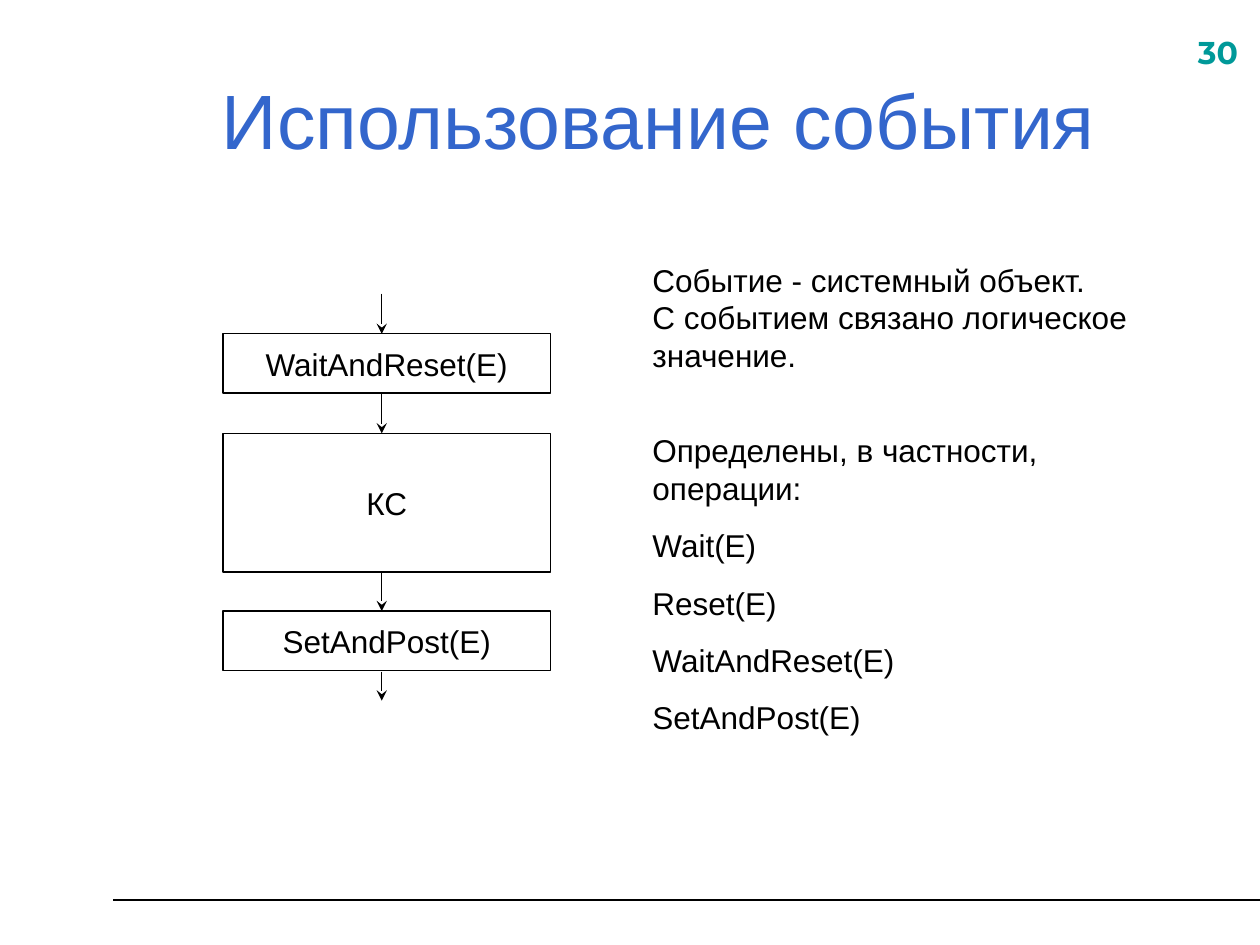
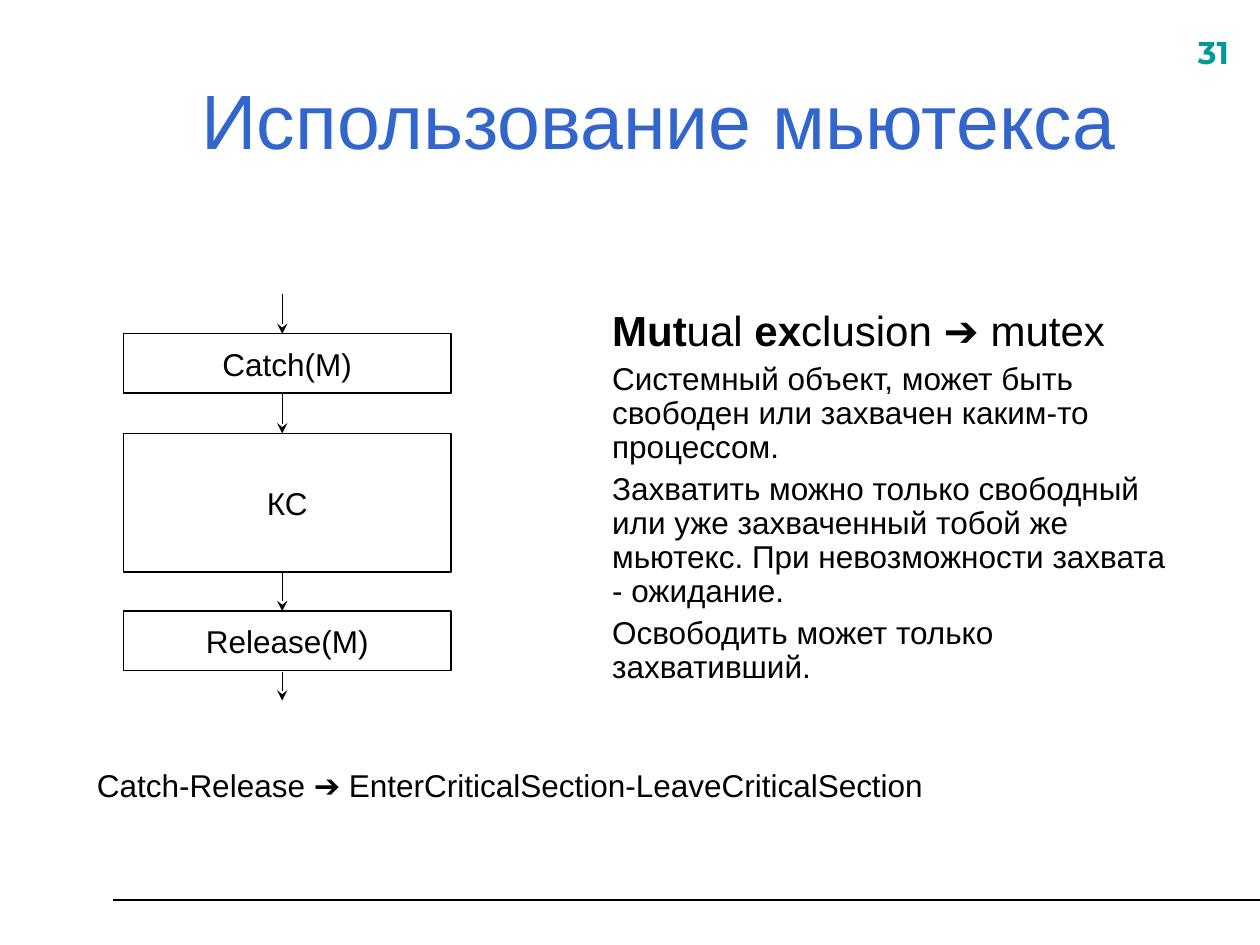
from lxml.etree import SubElement
from pptx import Presentation
from pptx.dml.color import RGBColor
from pptx.enum.shapes import MSO_CONNECTOR as Connector, MSO_SHAPE as Shape
from pptx.enum.text import MSO_ANCHOR as Anchor, PP_ALIGN as Align
from pptx.oxml.ns import qn
from pptx.util import Inches, Pt

BLACK = RGBColor(0x00, 0x00, 0x00)
TITLE_BLUE = RGBColor(0x33, 0x66, 0xCC)
NUMBER_TEAL = RGBColor(0x00, 0x99, 0x99)
FONT = "Arial"
NUMBER_FONT = "Montserrat"

FLOW_WIDTH = 2.6
ARROW_OFFSET = 1.26
STEP_ROWS = [(2.65, 0.47), (3.44, 1.1), (4.85, 0.47)]  # top, height
ARROW_ROWS = [(2.33, 2.65), (3.12, 3.44), (4.54, 4.85), (5.33, 5.56)]  # from, to


def add_text(page, area, paragraphs, size=18, color=BLACK, font=FONT,
             align=Align.LEFT, gap=11.2):
    """Add a wrapped text box; gap is the space before later paragraphs."""
    box = page.shapes.add_textbox(*map(Inches, area))
    frame = box.text_frame
    frame.word_wrap = True
    for index, text in enumerate(paragraphs):
        para = frame.add_paragraph() if index else frame.paragraphs[0]
        para.text = text
        para.alignment = align
        if index:
            para.space_before = Pt(gap)
        para.font.size = Pt(size)
        para.font.name = font
        para.font.color.rgb = color
    return frame


def add_line(page, start, end, width, arrow=False):
    line = page.shapes.add_connector(Connector.STRAIGHT, *map(Inches, start + end))
    line.line.color.rgb = BLACK
    line.line.width = Pt(width)
    if arrow:
        SubElement(line.line._get_or_add_ln(), qn("a:tailEnd"), type="stealth")
    SubElement(line._element.spPr, qn("a:effectLst"))


deck = Presentation()
deck.slide_width = Inches(10)
deck.slide_height = Inches(7.5)

# number, title, left edge of the flow chart, its steps
topics = [
    ("30", "Использование события", 1.77, ["WaitAndReset(E)", "КС", "SetAndPost(E)"]),
    ("31", "Использование мьютекса", 0.98, ["Catch(M)", "КС", "Release(M)"]),
]
pages = []
for number, title, flow_left, steps in topics:
    page = deck.slides.add_slide(deck.slide_layouts[6])
    pages.append(page)

    add_line(page, (0.9, 7.14), (10, 7.14), 1.25)
    number_frame = add_text(page, (9.41, 0.21, 0.63, 0.44), [number],
                            color=NUMBER_TEAL, font=NUMBER_FONT)
    number_frame.paragraphs[0].font.bold = True
    title_frame = add_text(page, (0.73, 0.32, 9, 1.25), [title], size=44,
                           color=TITLE_BLUE, align=Align.CENTER)
    title_frame.vertical_anchor = Anchor.MIDDLE

    for step, (top, height) in zip(steps, STEP_ROWS):
        box = page.shapes.add_shape(Shape.RECTANGLE, Inches(flow_left), Inches(top),
                                    Inches(FLOW_WIDTH), Inches(height))
        box.shadow.inherit = False
        box.fill.background()
        box.line.color.rgb = BLACK
        box.line.width = Pt(0.75)
        box.text_frame.word_wrap = False
        box.text_frame.vertical_anchor = Anchor.MIDDLE
        para = box.text_frame.paragraphs[0]
        para.text = step
        para.alignment = Align.CENTER
        para.font.size = Pt(18)
        para.font.name = FONT
        para.font.color.rgb = BLACK

    arrow_x = flow_left + ARROW_OFFSET
    for start, end in ARROW_ROWS:
        add_line(page, (arrow_x, start), (arrow_x, end), 0.75, arrow=True)

event_page, mutex_page = pages

event_frame = add_text(event_page, (5.08, 2.02, 4.41, 4.34), [
    "Событие - системный объект.\vС событием связано логическое значение.",
    "Определены, в частности, операции:",
    "Wait(E)",
    "Reset(E)",
    "WaitAndReset(E)",
    "SetAndPost(E)",
])
event_frame.paragraphs[1].space_before = Pt(32.5)

mutex_frame = add_text(mutex_page, (4.76, 2.41, 4.72, 3.23), [
    "",
    "Системный объект, может быть свободен или захвачен каким-то процессом.",
    "Захватить можно только свободный или уже захваченный тобой же мьютекс. "
    "При невозможности захвата - ожидание.",
    "Освободить может только захвативший.",
], gap=4.5)
for para in mutex_frame.paragraphs:
    para.line_spacing = 0.9
heading = mutex_frame.paragraphs[0]
heading.font.size = Pt(24)
for text, bold in [("Mut", True), ("ual ", False), ("ex", True),
                   ("clusion ➔ mutex", False)]:
    span = heading.add_run()
    span.text = text
    span.font.bold = bold

add_text(mutex_page, (0.67, 6.03, 8.98, 0.4),
         ["Catch-Release ➔ EnterCriticalSection-LeaveCriticalSection"])

deck.save("out.pptx")
